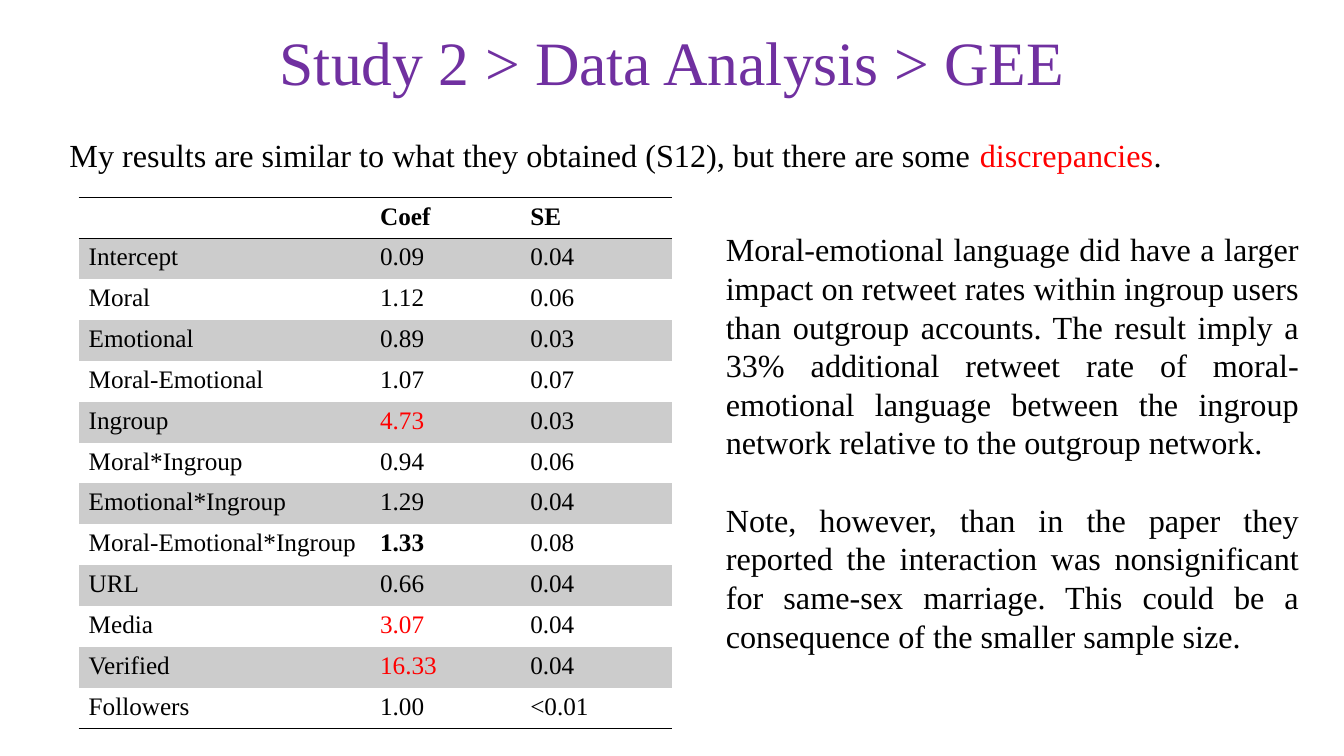
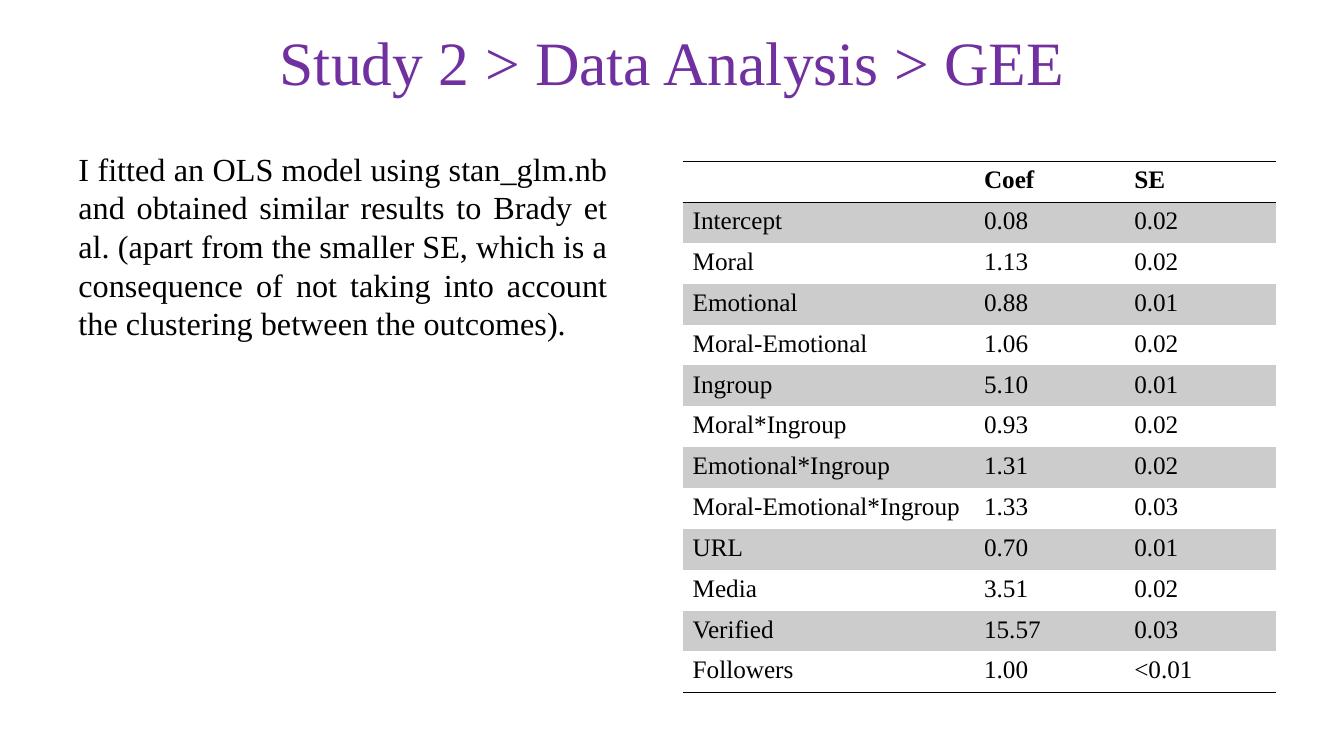
"""Build two slides comparing GEE and OLS model coefficients."""
from lxml.etree import SubElement
from pptx import Presentation
from pptx.dml.color import RGBColor
from pptx.enum.text import MSO_ANCHOR, PP_ALIGN
from pptx.oxml.ns import qn
from pptx.util import Inches, Pt

FONT = "Times New Roman"
PURPLE = RGBColor(0x70, 0x30, 0xA0)
BLACK = RGBColor(0, 0, 0)
RED = RGBColor(0xFF, 0, 0)
BAND_GRAY = RGBColor(0xCC, 0xCC, 0xCC)
PLAIN_TABLE_STYLE = "{2D5ABB26-0587-4C30-8999-92F81FD0307C}"

TITLE = "Study 2 > Data Analysis > GEE"
HEADINGS = ("", "Coef", "SE")
TERMS = ("Intercept", "Moral", "Emotional", "Moral-Emotional", "Ingroup",
         "Moral*Ingroup", "Emotional*Ingroup", "Moral-Emotional*Ingroup",
         "URL", "Media", "Verified", "Followers")
COLUMN_WIDTHS = (2.89, 1.49, 1.51)
TABLE_HEIGHT = 5.27

SLIDES = [
    {
        "table_at": (0.78, 1.96),
        "coefs": ("0.09", "1.12", "0.89", "1.07", "4.73", "0.94",
                  "1.29", "1.33", "0.66", "3.07", "16.33", "1.00"),
        "errors": ("0.04", "0.06", "0.03", "0.07", "0.03", "0.06",
                   "0.04", "0.08", "0.04", "0.04", "0.04", "<0.01"),
        "discrepant": ("Ingroup", "Media", "Verified"),
        "emphasized": ("Moral-Emotional*Ingroup",),
        "texts": [
            ((0.59, 1.29, 12.75, 0.49), PP_ALIGN.LEFT, [
                [("My results are similar to what they obtained (S12), "
                  "but there are some ", BLACK),
                 ("discrepancies", RED), (".", BLACK)],
            ]),
            ((7.1, 2.23, 5.89, 4.36), PP_ALIGN.JUSTIFY, [
                [("Moral-emotional language did have a larger impact on "
                  "retweet rates within ingroup users than outgroup accounts. "
                  "The result imply a 33% additional retweet rate of "
                  "moral-emotional language between the ingroup network "
                  "relative to the outgroup network.", BLACK)],
                [("Note, however, than in the paper they reported the "
                  "interaction was nonsignificant for same-sex marriage. This "
                  "could be a consequence of the smaller sample size.", BLACK)],
            ]),
        ],
    },
    {
        "table_at": (6.77, 1.6),
        "coefs": ("0.08", "1.13", "0.88", "1.06", "5.10", "0.93",
                  "1.31", "1.33", "0.70", "3.51", "15.57", "1.00"),
        "errors": ("0.02", "0.02", "0.01", "0.02", "0.01", "0.02",
                   "0.02", "0.03", "0.01", "0.02", "0.03", "<0.01"),
        "discrepant": (),
        "emphasized": (),
        "texts": [
            ((0.68, 1.43, 5.45, 2.04), PP_ALIGN.JUSTIFY, [
                [("I fitted an OLS model using stan_glm.nb and obtained "
                  "similar results to Brady et al. (apart from the smaller SE, "
                  "which is a consequence of not taking into account the "
                  "clustering between the outcomes).", BLACK)],
            ]),
        ],
    },
]


def style_font(font, size, color, bold=False):
    font.name = FONT
    font.size = Pt(size)
    font.color.rgb = color
    font.bold = bold


def prepare_layout(layout):
    heading = layout.placeholders[0]
    heading.left, heading.top = Inches(0.92), Inches(0.02)
    heading.width, heading.height = Inches(11.5), Inches(1.27)


def add_title(slide):
    heading = slide.shapes.title.text_frame
    heading.text = TITLE
    heading.vertical_anchor = MSO_ANCHOR.MIDDLE
    line = heading.paragraphs[0]
    line.alignment = PP_ALIGN.CENTER
    line.line_spacing = 0.9
    style_font(line.runs[0].font, 44, PURPLE)


def add_text(slide, box, alignment, paragraphs):
    frame = slide.shapes.add_textbox(*map(Inches, box)).text_frame
    frame.word_wrap = True
    for index, pieces in enumerate(paragraphs):
        paragraph = frame.add_paragraph() if index else frame.paragraphs[0]
        paragraph.alignment = alignment
        if index:
            paragraph.space_before = Pt(27.6)
        for wording, color in pieces:
            run = paragraph.add_run()
            run.text = wording
            style_font(run.font, 23, color)


def add_rule(cell, side, position):
    properties = cell._tc.get_or_add_tcPr()
    rule = SubElement(properties, qn(f"a:{side}"), w=str(Pt(1)))
    fill = SubElement(rule, qn("a:solidFill"))
    SubElement(fill, qn("a:srgbClr"), val=str(BLACK))
    properties.insert(position, rule)


def add_results(slide, content):
    rows = [HEADINGS, *zip(TERMS, content["coefs"], content["errors"])]
    left, top = content["table_at"]
    results = slide.shapes.add_table(
        len(rows), len(HEADINGS), Inches(left), Inches(top),
        Inches(sum(COLUMN_WIDTHS)), Inches(TABLE_HEIGHT)).table
    results._tbl.tblPr.find(qn("a:tableStyleId")).text = PLAIN_TABLE_STYLE
    for column, width in zip(results.columns, COLUMN_WIDTHS):
        column.width = Inches(width)
    for r, row in enumerate(rows):
        for c, value in enumerate(row):
            cell = results.cell(r, c)
            cell.text = value
            is_coef = c == 1
            color = RED if is_coef and row[0] in content["discrepant"] else BLACK
            bold = r == 0 or (is_coef and row[0] in content["emphasized"])
            for run in cell.text_frame.paragraphs[0].runs:
                style_font(run.font, 18, color, bold)
            if r % 2:
                cell.fill.solid()
                cell.fill.fore_color.rgb = BAND_GRAY
            else:
                cell.fill.background()
            if r in (0, len(rows) - 1):
                add_rule(cell, "lnB", 0)
            if r == 0:
                add_rule(cell, "lnT", 0)


def main():
    deck = Presentation()
    deck.slide_width, deck.slide_height = Inches(13.33), Inches(7.5)
    layout = deck.slide_layouts[5]
    prepare_layout(layout)
    for content in SLIDES:
        slide = deck.slides.add_slide(layout)
        add_title(slide)
        add_results(slide, content)
        for box, alignment, paragraphs in content["texts"]:
            add_text(slide, box, alignment, paragraphs)
    deck.save("out.pptx")


if __name__ == "__main__":
    main()
